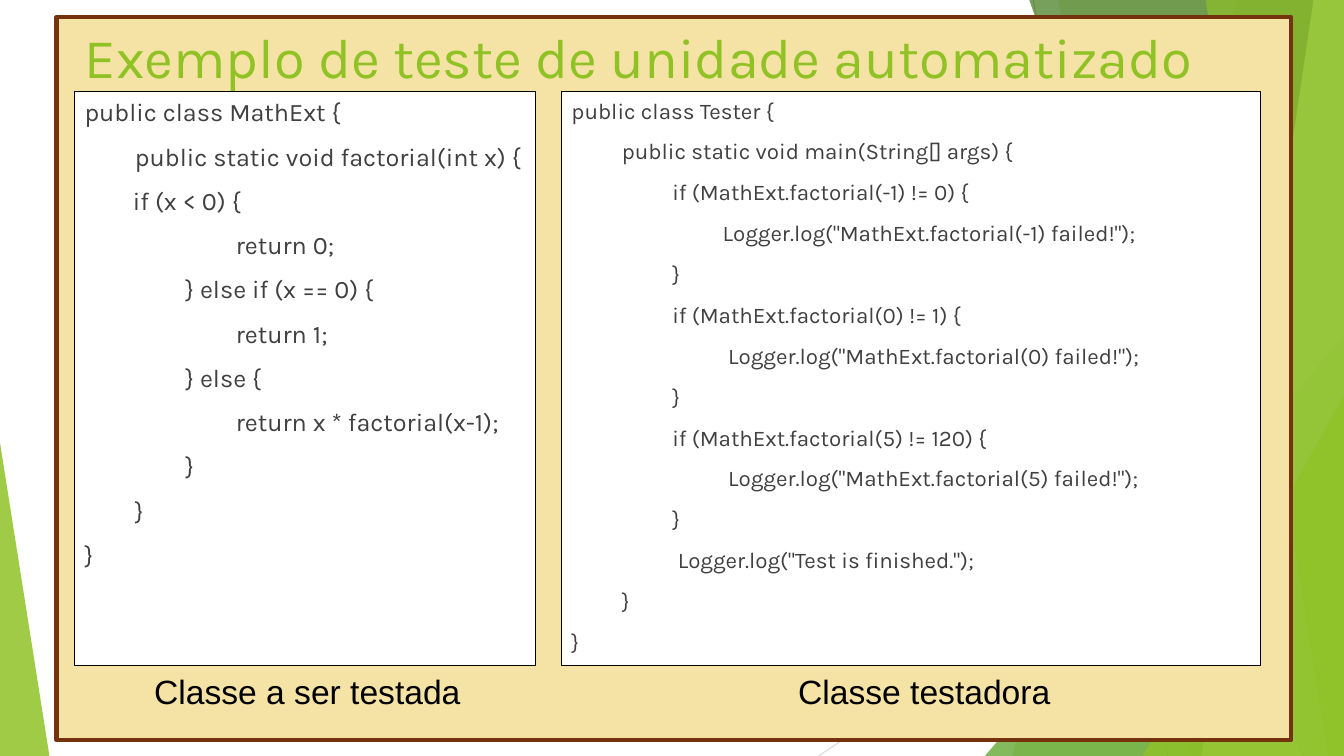
from dataclasses import dataclass

from lxml import etree
from pptx import Presentation
from pptx.dml.color import RGBColor
from pptx.enum.shapes import MSO_CONNECTOR, MSO_SHAPE
from pptx.enum.text import MSO_ANCHOR, MSO_AUTO_SIZE, PP_ALIGN
from pptx.oxml.ns import qn
from pptx.util import Inches, Pt

RECT, TRIANGLE = MSO_SHAPE.RECTANGLE, MSO_SHAPE.ISOSCELES_TRIANGLE
STRAIGHT = MSO_CONNECTOR.STRAIGHT
LEFT, TOP = PP_ALIGN.LEFT, MSO_ANCHOR.TOP
NO_FIT, GROW = MSO_AUTO_SIZE.NONE, MSO_AUTO_SIZE.SHAPE_TO_FIT_TEXT

WIDTH, HEIGHT = Inches(13.33), Inches(7.5)
INDENT = Inches(0.5)


@dataclass(frozen=True)
class Theme:
    green: str = "90C226"
    leaf: str = "54A021"
    forest: str = "3F7819"
    lime: str = "C0E474"
    sand: str = "F5E3A5"
    brown: str = "74330C"
    code: str = "404040"
    black: str = "000000"
    white: str = "FFFFFF"
    heading_font: str = "Karla"
    caption_font: str = "Arial"
    title_size: int = 40
    caption_size: int = 24
    code_space: int = 10


THEME = Theme()


@dataclass(frozen=True)
class Box:
    """A frame in percent of the slide's width and height."""
    left: float
    top: float
    width: float
    height: float

    def emu(self) -> tuple[int, int, int, int]:
        return across(self.left), down(self.top), across(self.width), down(self.height)


@dataclass(frozen=True)
class Ray:
    start: tuple[float, float]
    end: tuple[float, float]
    color: str


@dataclass(frozen=True)
class Facet:
    """A full-height band from a slanted left edge to the slide's right edge."""
    top_x: float
    bottom_x: float
    color: str
    opacity: int


@dataclass(frozen=True)
class Wedge:
    """A right triangle whose apex lies at the share `apex` of its width."""
    box: Box
    apex: int
    color: str
    opacity: int


@dataclass(frozen=True)
class Listing:
    box: Box
    size: int
    lines: tuple[tuple[float, str], ...]  # indent level, code
    caption: str
    caption_box: Box


RAYS = (
    Ray((76.88, 0), (86.88, 100), "BFBFBF"),
    Ray((100, 53.73), (60.9, 100), "D9D9D9"),
)
BACKDROP = (
    Facet(92.1, 75.3, THEME.green, 30),
    Facet(78.75, 88.65, THEME.green, 20),
    Wedge(Box(73.28, 44.4, 26.72, 55.6), 1, THEME.leaf, 72),
    Facet(76.58, 96.83, THEME.forest, 70),
    Facet(97.73, 89.4, THEME.lime, 70),
    Facet(89.7, 98.85, THEME.green, 65),
    Wedge(Box(85.05, 52.4, 14.95, 47.6), 1, THEME.green, 80),
    Wedge(Box(0, 58.53, 3.68, 41.47), 0, THEME.green, 85),
)
PANEL = Box(4.2, 2.27, 91.88, 95.6)
TITLE = Box(5.55, 2.27, 90.6, 19.2)
LISTINGS = (
    Listing(Box(5.55, 12.13, 34.28, 75.87), 18, (
        (0, "public class MathExt {"),
        (1, "public static void factorial(int x) {"),
        (0.96, "if (x < 0) {"),
        (3, "return 0;"),
        (2, "} else if (x == 0) {"),
        (3, "return 1;"),
        (2, "} else {"),
        (3, "return x * factorial(x-1);"),
        (2, "}"),
        (1, "}"),
        (0, "}"),
    ), "Classe a ser testada", Box(10.73, 88.13, 24.53, 6.67)),
    Listing(Box(41.78, 12.13, 51.98, 75.87), 16, (
        (0, "public class Tester {"),
        (1, "public static void main(String[] args) {"),
        (2, "if (MathExt.factorial(-1) != 0) {"),
        (3, 'Logger.log("MathExt.factorial(-1) failed!");'),
        (2, "}"),
        (2, "if (MathExt.factorial(0) != 1) {"),
        (3.11, 'Logger.log("MathExt.factorial(0) failed!");'),
        (2, "}"),
        (2, "if (MathExt.factorial(5) != 120) {"),
        (3.11, 'Logger.log("MathExt.factorial(5) failed!");'),
        (2, "}"),
        (2.11, 'Logger.log("Test is finished.");'),
        (1, "}"),
        (0, "}"),
    ), "Classe testadora", Box(58.65, 88.13, 20.48, 6.67)),
)


def across(percent: float) -> int:
    return round(WIDTH * percent / 100)


def down(percent: float) -> int:
    return round(HEIGHT * percent / 100)


def paint(sp, color: str, opacity: int = 100, line: str = "", weight: float = 0) -> None:
    sp.shadow.inherit = False
    sp.fill.solid()
    sp.fill.fore_color.rgb = RGBColor.from_string(color)
    if opacity < 100:
        clr = sp.element.spPr.find(qn("a:solidFill"))[0]
        etree.SubElement(clr, qn("a:alpha"), val=str(opacity * 1000))
    if line:
        sp.line.color.rgb = RGBColor.from_string(line)
        sp.line.width = Pt(weight)
    else:
        sp.line.fill.background()


def write(p, text: str, *, font: str, size: int, color: str,
          level: float = 0, space: int = 0) -> None:
    p.alignment = LEFT
    p.space_before = Pt(space)
    if level:
        p._p.get_or_add_pPr().set("marL", str(round(INDENT * level)))
    r = p.add_run()
    r.text = text
    r.font.name, r.font.size = font, Pt(size)
    r.font.color.rgb = RGBColor.from_string(color)


def set_frame(tf, *, wrap: bool = True, fit=NO_FIT) -> None:
    tf.word_wrap, tf.auto_size, tf.vertical_anchor = wrap, fit, TOP


def draw_ray(shapes, ray: Ray) -> None:
    (x1, y1), (x2, y2) = ray.start, ray.end
    cxn = shapes.add_connector(STRAIGHT, across(x1), down(y1), across(x2), down(y2))
    cxn.line.color.rgb = RGBColor.from_string(ray.color)
    cxn.line.width = Pt(0.75)
    etree.SubElement(cxn.element.spPr, qn("a:effectLst"))


def draw_backdrop(shapes, part: Facet | Wedge) -> None:
    if isinstance(part, Facet):
        fb = shapes.build_freeform(across(part.top_x), 0)
        fb.add_line_segments([(WIDTH, 0), (WIDTH, HEIGHT), (across(part.bottom_x), HEIGHT)])
        sp = fb.convert_to_shape()
    else:
        sp = shapes.add_shape(TRIANGLE, *part.box.emu())
        sp.adjustments[0] = part.apex
    paint(sp, part.color, part.opacity)


def draw_listing(shapes, listing: Listing) -> None:
    sp = shapes.add_shape(RECT, *listing.box.emu())
    paint(sp, THEME.white, line=THEME.black, weight=0.75)
    tf = sp.text_frame
    set_frame(tf)
    for i, (level, code) in enumerate(listing.lines):
        p = tf.add_paragraph() if i else tf.paragraphs[0]
        write(p, code, font=THEME.heading_font, size=listing.size, color=THEME.code,
              level=level, space=THEME.code_space)
    tf = shapes.add_textbox(*listing.caption_box.emu()).text_frame
    set_frame(tf, wrap=False, fit=GROW)
    write(tf.paragraphs[0], listing.caption, font=THEME.caption_font,
          size=THEME.caption_size, color=THEME.black)


def main() -> None:
    prs = Presentation()
    prs.slide_width, prs.slide_height = WIDTH, HEIGHT
    shapes = prs.slides.add_slide(prs.slide_layouts[5]).shapes
    for ray in RAYS:
        draw_ray(shapes, ray)
    for part in BACKDROP:
        draw_backdrop(shapes, part)
    paint(shapes.add_shape(RECT, *PANEL.emu()), THEME.sand, line=THEME.brown, weight=3)

    title = shapes.title
    title.left, title.top, title.width, title.height = TITLE.emu()
    set_frame(title.text_frame)
    write(title.text_frame.paragraphs[0], "Exemplo de teste de unidade automatizado",
          font=THEME.heading_font, size=THEME.title_size, color=THEME.green)
    shapes.element.append(title.element)  # bring in front of the panel
    for listing in LISTINGS:
        draw_listing(shapes, listing)
    prs.save("out.pptx")


if __name__ == "__main__":
    main()
